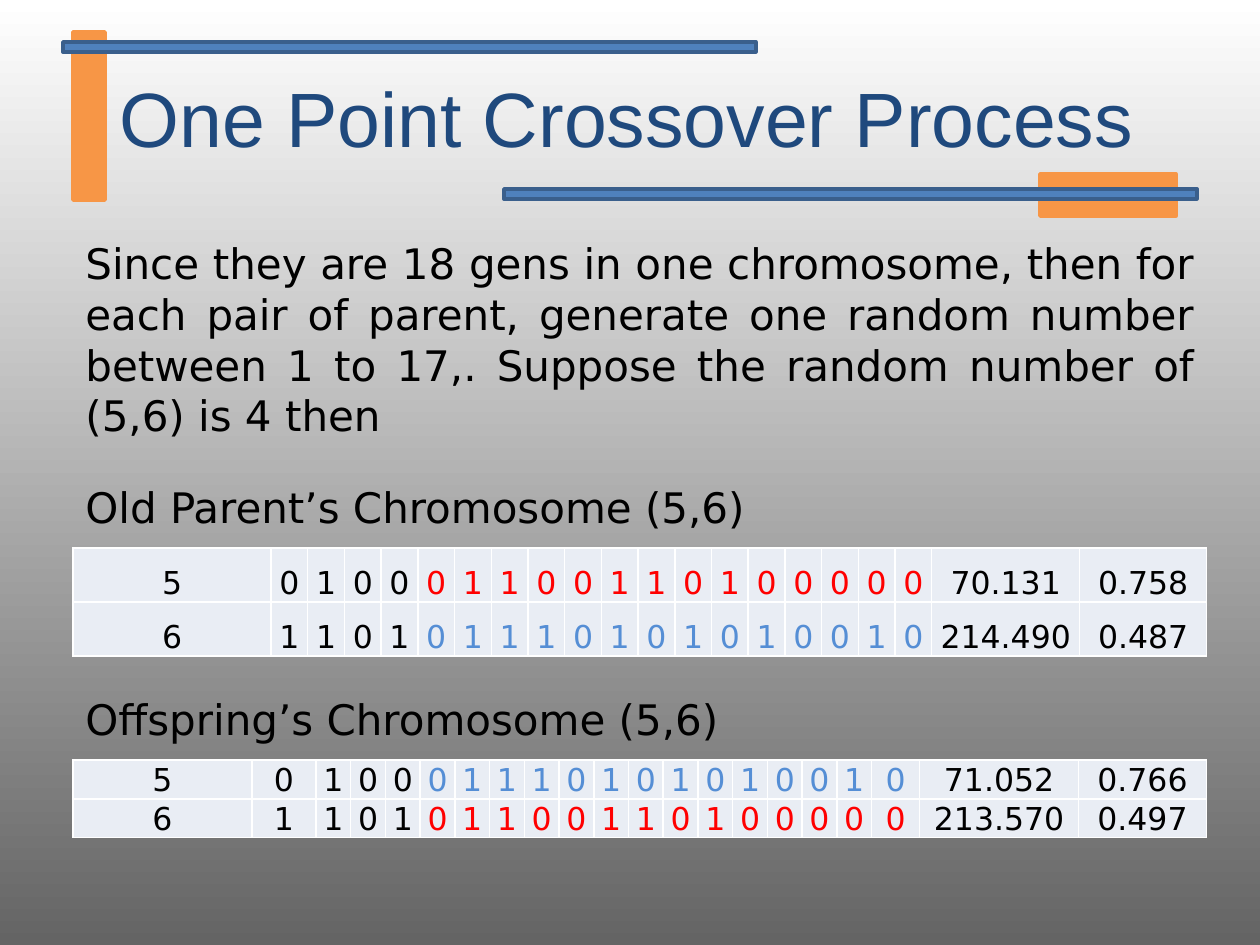
from pptx import Presentation
from pptx.dml.color import RGBColor
from pptx.enum.shapes import MSO_SHAPE
from pptx.enum.text import MSO_ANCHOR, PP_ALIGN
from pptx.oxml import parse_xml
from pptx.oxml.ns import nsdecls
from pptx.util import Pt

SCALE = 914400 / 126
COLORS = {
    "white": "FFFFFF",
    "gray": "646464",
    "orange": "F79646",
    "blue": "4F81BD",
    "edge": "3A5F8C",
    "navy": "1F497D",
    "cell": "E9EDF4",
    "black": "000000",
    "red": "FF0000",
    "sky": "558ED5",
}
HEADS = ["0100", "1101"]
TAILS = [("01100110100000", "red"), ("01110101010010", "sky")]
EXPLANATION = (
    "Since they are 18 gens in one chromosome, then for each pair of parent, "
    "generate one random number between 1 to 17,. "
    "Suppose the random number of (5,6) is 4 then"
)


def px(length):
    """Turn pixels into EMU."""
    return round(length * SCALE)


def rgb(name):
    """Look up a named colour."""
    return RGBColor.from_string(COLORS[name])


def write_text(frame, text, size=24, font="DejaVu Sans", color="black",
               align=PP_ALIGN.LEFT, spacing=None):
    """Fill a text frame with one formatted paragraph."""
    para = frame.paragraphs[0]
    para.alignment = align
    if spacing:
        para.line_spacing = Pt(spacing)
    span = para.add_run()
    span.text = text
    span.font.size = Pt(size)
    span.font.name = font
    span.font.color.rgb = rgb(color)


def add_text(page, box, text, anchor=MSO_ANCHOR.TOP, **style):
    """Place a wrapping text box."""
    frame = page.shapes.add_textbox(*map(px, box)).text_frame
    frame.word_wrap = True
    frame.vertical_anchor = anchor
    write_text(frame, text, **style)


def add_bar(page, box, fill, line):
    """Place a decorative bar."""
    bar = page.shapes.add_shape(MSO_SHAPE.RECTANGLE, *map(px, box))
    bar.shadow.inherit = False
    bar.fill.solid()
    bar.fill.fore_color.rgb = rgb(fill)
    bar.line.color.rgb = rgb(line)
    bar.line.width = Pt(2)


def add_header(page, box):
    """Place the title with its crossing bars."""
    left, top, width, height = box
    add_bar(page, (left + 10, top - 6, 32, 168), "orange", "orange")
    add_bar(page, (left + 977, top + 136, 136, 42), "orange", "orange")
    add_bar(page, (left + 441, top + 151, 693, 10), "blue", "edge")
    add_bar(page, (left, top + 4, 693, 10), "blue", "edge")
    add_text(page, (left - 3, top, width, height), "One Point Crossover Process",
             anchor=MSO_ANCHOR.MIDDLE, size=44, font="Arial", color="navy",
             align=PP_ALIGN.CENTER)


def format_cell(cell, text, color):
    """Give a cell its borders, fill and text."""
    properties = cell._tc.get_or_add_tcPr()
    for side in ("lnL", "lnR", "lnT", "lnB"):
        properties.append(parse_xml(
            f'<a:{side} {nsdecls("a")} w="12700"><a:solidFill>'
            f'<a:srgbClr val="{COLORS["white"]}"/></a:solidFill></a:{side}>'))
    cell.fill.solid()
    cell.fill.fore_color.rgb = rgb("cell")
    cell.margin_left = cell.margin_right = cell.margin_top = px(1)
    cell.margin_bottom = 0
    cell.vertical_anchor = MSO_ANCHOR.BOTTOM
    write_text(cell.text_frame, text, size=18, color=color, align=PP_ALIGN.CENTER)


def add_chromosomes(page, box, column_groups, tails, scores):
    """Place a table of chromosomes 5 and 6, one gene per column."""
    widths = [total / count for total, count in column_groups for _ in range(count)]
    table = page.shapes.add_table(len(HEADS), len(widths), *map(px, box)).table
    table.first_row = table.horz_banding = False
    for column, width in zip(table.columns, widths):
        column.width = px(width)
    for index, (head, (tail, color), score) in enumerate(zip(HEADS, tails, scores)):
        texts = [str(index + 5), *head, *tail, *score]
        colors = ["black"] * 5 + [color] * len(tail) + ["black"] * 2
        for cell, text, shade in zip(table.rows[index].cells, texts, colors):
            format_cell(cell, text, shade)


def paint_background(page):
    """Fade the page from white to gray."""
    fill = page.background.fill
    fill.gradient()
    fill.gradient_angle = 270
    for stop, name in zip(fill.gradient_stops, ("white", "gray")):
        stop.color.rgb = rgb(name)


def build_crossover_page(page, box):
    """Place the header, explanation and both chromosome tables."""
    left, top, width, height = box
    column = left + 73
    inner = width - 126
    paint_background(page)
    add_header(page, (left + 63, top + 38, inner, 157))
    add_text(page, (column, top + 231, inner, 217), EXPLANATION,
             align=PP_ALIGN.JUSTIFY, spacing=29)
    add_text(page, (column, top + 475, 702, 63), "Old Parent’s Chromosome (5,6)",
             spacing=29)
    add_chromosomes(page, (column, top + 548, inner, 108),
                    [(198, 1), (661, 18), (148, 1), (127, 1)],
                    TAILS, [("70.131", "0.758"), ("214.490", "0.487")])
    add_text(page, (column, top + 687, 673, 63), "Offspring’s Chromosome (5,6)",
             spacing=29)
    add_chromosomes(page, (column, top + 760, inner, 76),
                    [(179, 1), (64, 1), (556, 16), (48, 1), (159, 1), (128, 1)],
                    TAILS[::-1], [("71.052", "0.766"), ("213.570", "0.497")])


def main():
    """Build and save the deck."""
    deck = Presentation()
    deck.slide_width, deck.slide_height = px(1260), px(945)
    page = deck.slides.add_slide(deck.slide_layouts[6])
    build_crossover_page(page, (0, 0, 1260, 945))
    deck.save("out.pptx")


if __name__ == "__main__":
    main()
